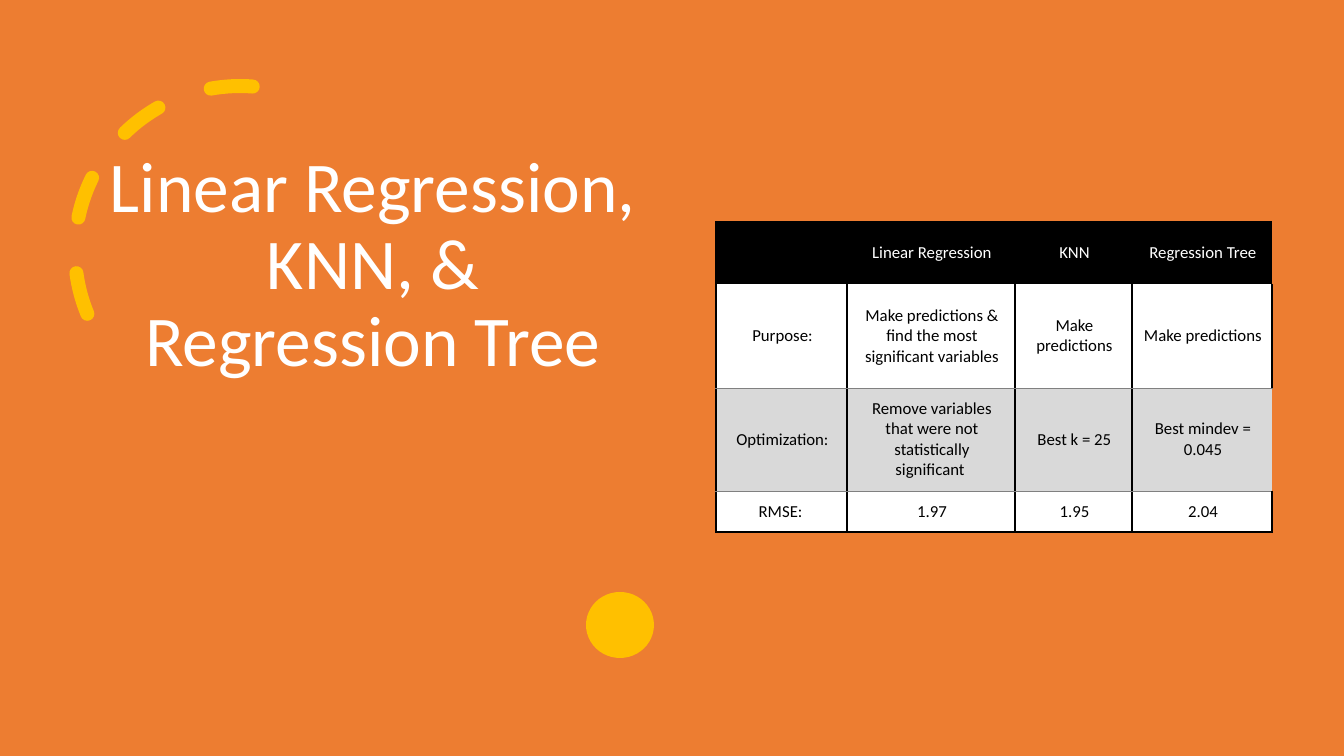
import pptx
import pptx.dml.color
import pptx.enum.dml
import pptx.enum.shapes
import pptx.enum.text
import pptx.oxml
import pptx.oxml.ns
import pptx.util

SLIDE = (0, 0, 1344, 756)
PX = 12192000 / SLIDE[2]
FONT = "Calibri"
COLORS = {
    "orange": "ED7D31",
    "gold": "FFC000",
    "white": "FFFFFF",
    "black": "000000",
    "band": "D9D9D9",
    "rule": "808080",
}

COLUMN_WIDTHS = [131, 168, 117, 140]
ROW_HEIGHTS = [62, 104, 103, 41]
ROW_FILLS = ["black", "white", "band", "white"]
MODELS = [
    ["", "Linear Regression", "KNN", "Regression Tree"],
    ["Purpose:", "Make predictions & find the most significant variables",
     "Make predictions", "Make predictions"],
    ["Optimization:", "Remove variables that were not statistically significant ",
     "Best k = 25", "Best mindev = 0.045"],
    ["RMSE: ", "1.97", "1.95", "2.04"],
]
NO_GRID_STYLE = "{2D5ABB26-0587-4C30-8999-92F81FD0307C}"


def px(length):
    return pptx.util.Emu(round(length * PX))


def rgb(name):
    return pptx.dml.color.RGBColor.from_string(COLORS[name])


def apply(target, values):
    for name, value in values.items():
        setattr(target, name, value)


def write(para, text, size, color):
    para.alignment = pptx.enum.text.PP_ALIGN.CENTER
    span = para.add_run()
    span.text = text
    apply(span.font, {"name": FONT, "size": pptx.util.Pt(size), "bold": False})
    span.font.color.rgb = rgb(color)


def add_solid(page, kind, box, color):
    shape = page.shapes.add_shape(kind, *map(px, box))
    shape.shadow.inherit = False
    shape.fill.solid()
    shape.fill.fore_color.rgb = rgb(color)
    shape.line.fill.background()
    return shape


def add_backdrop(page, box):
    left, top, _, _ = box
    kinds = pptx.enum.shapes.MSO_SHAPE
    add_solid(page, kinds.RECTANGLE, box, "orange")

    # Dashed arc around the title corner
    arc = add_solid(page, kinds.ARC, (left + 75, top + 86, 330, 330), "gold")
    arc.fill.background()
    arc.rotation = 276.7
    arc.adjustments[0] = 144.56
    arc.adjustments[1] = 0
    arc.line.color.rgb = rgb("gold")
    apply(arc.line, {"width": pptx.util.Pt(10),
                     "dash_style": pptx.enum.dml.MSO_LINE.DASH})
    arc.line._get_or_add_ln().set("cap", "rnd")

    # Dot below the title
    add_solid(page, kinds.OVAL, (left + 586, top + 592, 68, 66), "gold")


def add_title(page, box):
    title = page.shapes.title
    apply(title, dict(zip(("left", "top", "width", "height"), map(px, box))))
    # Bring the title in front of the backdrop
    title.element.getparent().append(title.element)
    apply(title.text_frame, {
        "word_wrap": True,
        "auto_size": pptx.enum.text.MSO_AUTO_SIZE.NONE,
        "vertical_anchor": pptx.enum.text.MSO_ANCHOR.BOTTOM,
    })
    para = title.text_frame.paragraphs[0]
    para.line_spacing = 0.9
    write(para, "Linear Regression, KNN, & Regression Tree", 51, "white")


def cell_borders(row, column):
    """Borders of one cell as side: (color, points), in schema order."""
    heavy, thin = ("black", 1.5), ("rule", 0.5)
    last_row, last_column = len(MODELS) - 1, len(COLUMN_WIDTHS) - 1
    borders = {}
    if row > 0 or column == 0:
        borders["L"] = heavy
    if row > 0 and not (row == 2 and column == last_column):
        borders["R"] = heavy
    if row == 0:
        borders["T"] = heavy
    elif row == 2:
        borders["T"] = thin
    if row == 1:
        borders["B"] = thin
    elif row == last_row:
        borders["B"] = heavy
    return borders


def set_borders(cell, borders):
    properties = cell._tc.get_or_add_tcPr()
    for index, (side, (color, points)) in enumerate(borders.items()):
        properties.insert(index, pptx.oxml.parse_xml(
            f'<a:ln{side} {pptx.oxml.ns.nsdecls("a")} w="{pptx.util.Pt(points)}">'
            f'<a:solidFill><a:srgbClr val="{COLORS[color]}"/></a:solidFill>'
            f'</a:ln{side}>'))


def add_model_table(page, box):
    frame = page.shapes.add_table(len(MODELS), len(COLUMN_WIDTHS), *map(px, box))
    table = frame.table
    table._tbl.tblPr.find(pptx.oxml.ns.qn("a:tableStyleId")).text = NO_GRID_STYLE
    for column, width in zip(table.columns, COLUMN_WIDTHS):
        column.width = px(width)
    for row, height in zip(table.rows, ROW_HEIGHTS):
        row.height = px(height)

    for row, texts in enumerate(MODELS):
        for column, text in enumerate(texts):
            cell = table.cell(row, column)
            apply(cell, {
                "vertical_anchor": pptx.enum.text.MSO_ANCHOR.MIDDLE,
                "margin_left": px(11), "margin_top": px(9),
                "margin_right": px(9), "margin_bottom": px(9),
            })
            cell.fill.solid()
            cell.fill.fore_color.rgb = rgb(ROW_FILLS[row])
            set_borders(cell, cell_borders(row, column))
            if text:
                write(cell.text_frame.paragraphs[0], text, 12,
                      "black" if row else "white")


def main():
    deck = pptx.Presentation()
    apply(deck, {"slide_width": px(SLIDE[2]), "slide_height": px(SLIDE[3])})
    page = deck.slides.add_slide(deck.slide_layouts.get_by_name("Title Only"))
    add_backdrop(page, SLIDE)
    add_title(page, (93, 124, 560, 263))
    add_model_table(page, (716, 222, sum(COLUMN_WIDTHS), sum(ROW_HEIGHTS)))
    deck.save("out.pptx")


if __name__ == "__main__":
    main()
